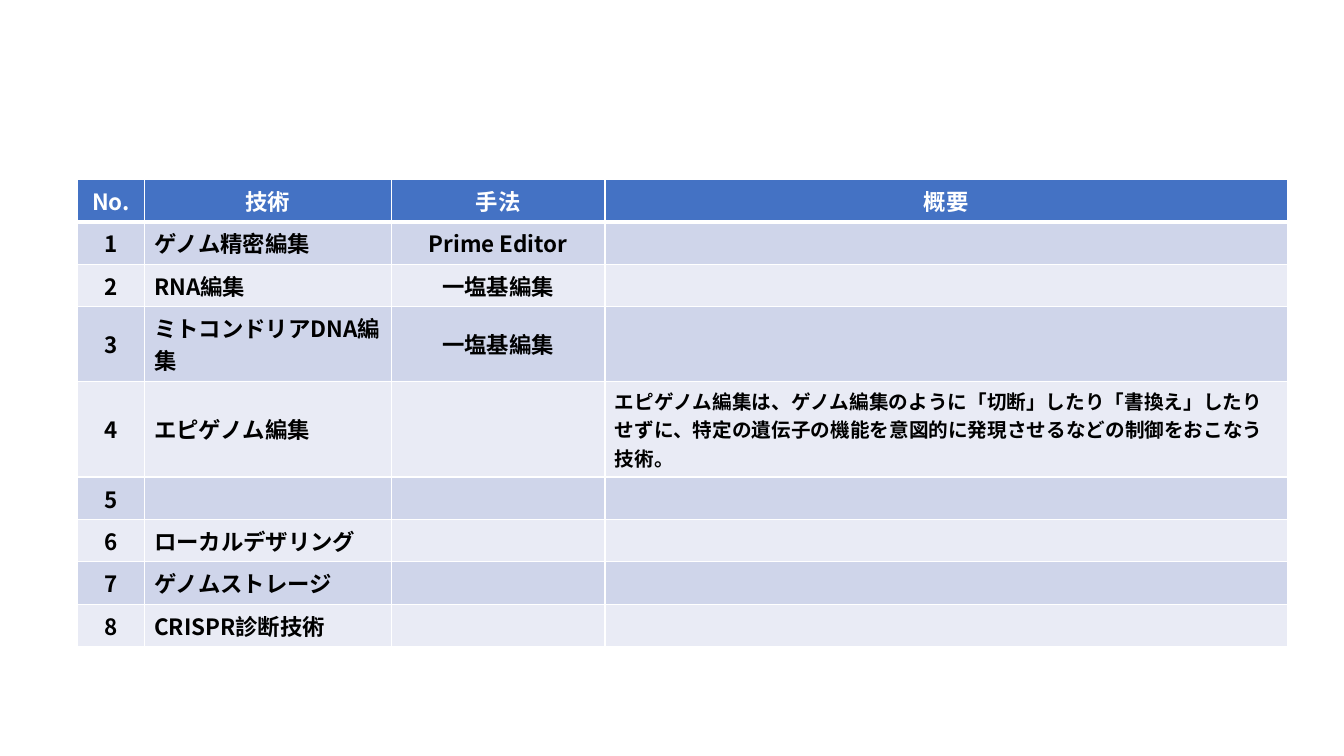
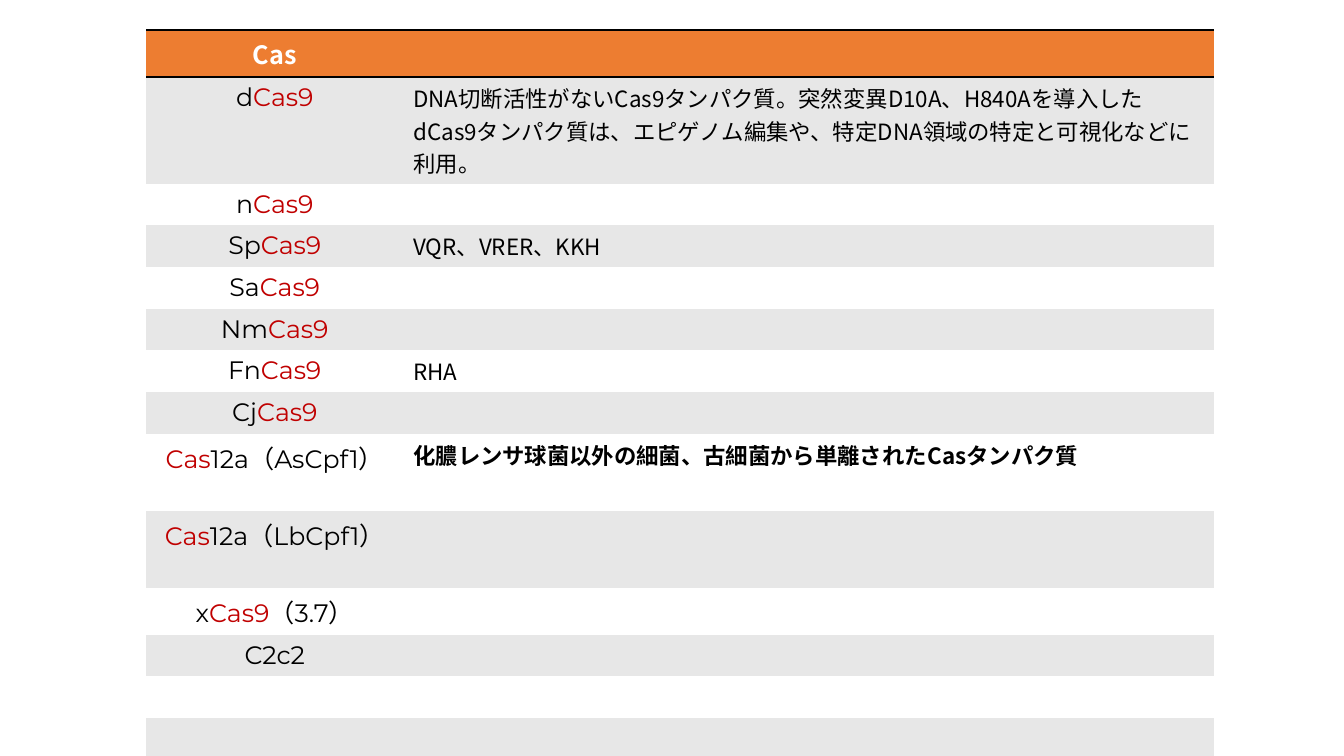
from lxml.etree import SubElement
from pptx import Presentation
from pptx.dml.color import RGBColor
from pptx.enum.text import MSO_ANCHOR as Anchor, PP_ALIGN as Align
from pptx.oxml.ns import qn
from pptx.util import Inches, Pt

SANS, LATIN = "Noto Sans CJK JP", "Montserrat"
WHITE, BLACK, RED = "FFFFFF", "000000", "C00000"
BLUE, BLUE_BANDS = "4472C4", ("CFD5EA", "E9EBF5")
ORANGE, GREY_BANDS = "ED7D31", ("E7E7E7", WHITE)
ROW_HEIGHT = 0.41
NO_STYLE = "{2D5ABB26-0587-4C30-8999-92F81FD0307C}"

TECHNIQUES = [
    ("No.", "技術", "手法", "概要"),
    ("1", "ゲノム精密編集", "Prime Editor", ""),
    ("2", "RNA編集", "一塩基編集", ""),
    ("3", "ミトコンドリアDNA編集", "一塩基編集", ""),
    ("4", "エピゲノム編集", "",
     "エピゲノム編集は、ゲノム編集のように「切断」したり「書換え」したりせずに、"
     "特定の遺伝子の機能を意図的に発現させるなどの制御をおこなう技術。"),
    ("5", "", "", ""),
    ("6", "ローカルデザリング", "", ""),
    ("7", "ゲノムストレージ", "", ""),
    ("8", "CRISPR診断技術", "", ""),
]

PROTEINS = [
    ("Cas", ""),
    ("dCas9", "DNA切断活性がないCas9タンパク質。突然変異D10A、H840Aを導入した"
              "dCas9タンパク質は、エピゲノム編集や、特定DNA領域の特定と可視化などに利用。"),
    ("nCas9", ""),
    ("SpCas9", "VQR、VRER、KKH"),
    ("SaCas9", ""),
    ("NmCas9", ""),
    ("FnCas9", "RHA"),
    ("CjCas9", ""),
    ("Cas12a（AsCpf1）", "化膿レンサ球菌以外の細菌、古細菌から単離されたCasタンパク質"),
    ("Cas12a（LbCpf1）", ""),
    ("xCas9（3.7）", ""),
    ("C2c2", ""),
    ("", ""),
    ("", ""),
]


def rgb(color):
    return RGBColor.from_string(color)


def write(cell, parts, size, font=SANS, bold=False, align=Align.LEFT):
    """Fill a cell with (text, colour) parts in one paragraph."""
    para = cell.text_frame.paragraphs[0]
    para.alignment = align
    for text, color in parts:
        if not text:
            continue
        span = para.add_run()
        span.text = text
        span.font.name, span.font.size, span.font.bold = font, Pt(size), bold
        span.font.color.rgb = rgb(color)
        SubElement(span.font._element, qn("a:ea"), typeface=SANS)


def set_borders(cell, borders):
    """Draw the sides given as {side: (colour, points)}; hide the others."""
    props = cell._tc.get_or_add_tcPr()
    for side in "LRTB":
        color, width = borders.get(side, (None, 0))
        line = SubElement(props, qn(f"a:ln{side}"), w=str(Pt(width)))
        if color:
            fill = SubElement(line, qn("a:solidFill"))
            SubElement(fill, qn("a:srgbClr"), val=color)
        else:
            SubElement(line, qn("a:noFill"))


def add_banded_table(page, left, top, widths, row_count, header, bands, borders_of):
    """Add an empty table with a coloured header and alternating rows."""
    frame = page.shapes.add_table(
        row_count, len(widths), Inches(left), Inches(top),
        Inches(sum(widths)), Inches(ROW_HEIGHT * row_count))
    table = frame.table
    table._tbl.tblPr.find(qn("a:tableStyleId")).text = NO_STYLE
    table.first_row = table.horz_banding = False
    for column, width in zip(table.columns, widths):
        column.width = Inches(width)
    for r, row in enumerate(table.rows):
        row.height = Inches(ROW_HEIGHT)
        for cell in row.cells:
            set_borders(cell, borders_of(r))
            cell.fill.solid()
            cell.fill.fore_color.rgb = rgb(bands[(r - 1) % 2] if r else header)
    return table


def technique_borders(r):
    thin = (WHITE, 1)
    borders = {"L": thin, "R": thin, "B": thin if r else (WHITE, 3)}
    return borders if r else {**borders, "T": thin}


def protein_borders(r):
    return {} if r else {"T": (BLACK, 2), "B": (BLACK, 2)}


def highlight_cas(name):
    """Split a protein name so that its Cas9 or Cas part is red."""
    before, cas, after = name.partition("Cas9" if "Cas9" in name else "Cas")
    return [(before, BLACK), (cas, RED), (after, BLACK)]


def add_technique_slide(deck):
    page = deck.slides.add_slide(deck.slide_layouts[6])
    table = add_banded_table(page, 0.77, 1.78, (0.66, 2.45, 2.12, 6.77),
                             len(TECHNIQUES), BLUE, BLUE_BANDS, technique_borders)
    for r, texts in enumerate(TECHNIQUES):
        for c, text in enumerate(texts):
            cell = table.cell(r, c)
            cell.vertical_anchor = Anchor.MIDDLE
            centred = r == 0 or c in (0, 2)
            write(cell, [(text, BLACK if r else WHITE)], 14 if r and c == 3 else 16,
                  bold=True, align=Align.CENTER if centred else Align.LEFT)


def add_protein_slide(deck):
    page = deck.slides.add_slide(deck.slide_layouts[6])
    table = add_banded_table(page, 1.45, 0.3, (2.55, 8.04),
                             len(PROTEINS), ORANGE, GREY_BANDS, protein_borders)
    for r, (name, note) in enumerate(PROTEINS):
        if r == 0:
            write(table.cell(r, 0), [(name, WHITE)], 18, bold=True, align=Align.CENTER)
            continue
        write(table.cell(r, 0), highlight_cas(name), 18, LATIN, align=Align.CENTER)
        write(table.cell(r, 1), [(note, BLACK)], 16, bold=note.startswith("化膿"))


def main():
    deck = Presentation()
    deck.slide_width, deck.slide_height = Inches(13.33), Inches(7.5)
    add_technique_slide(deck)
    add_protein_slide(deck)
    deck.save("out.pptx")


if __name__ == "__main__":
    main()
